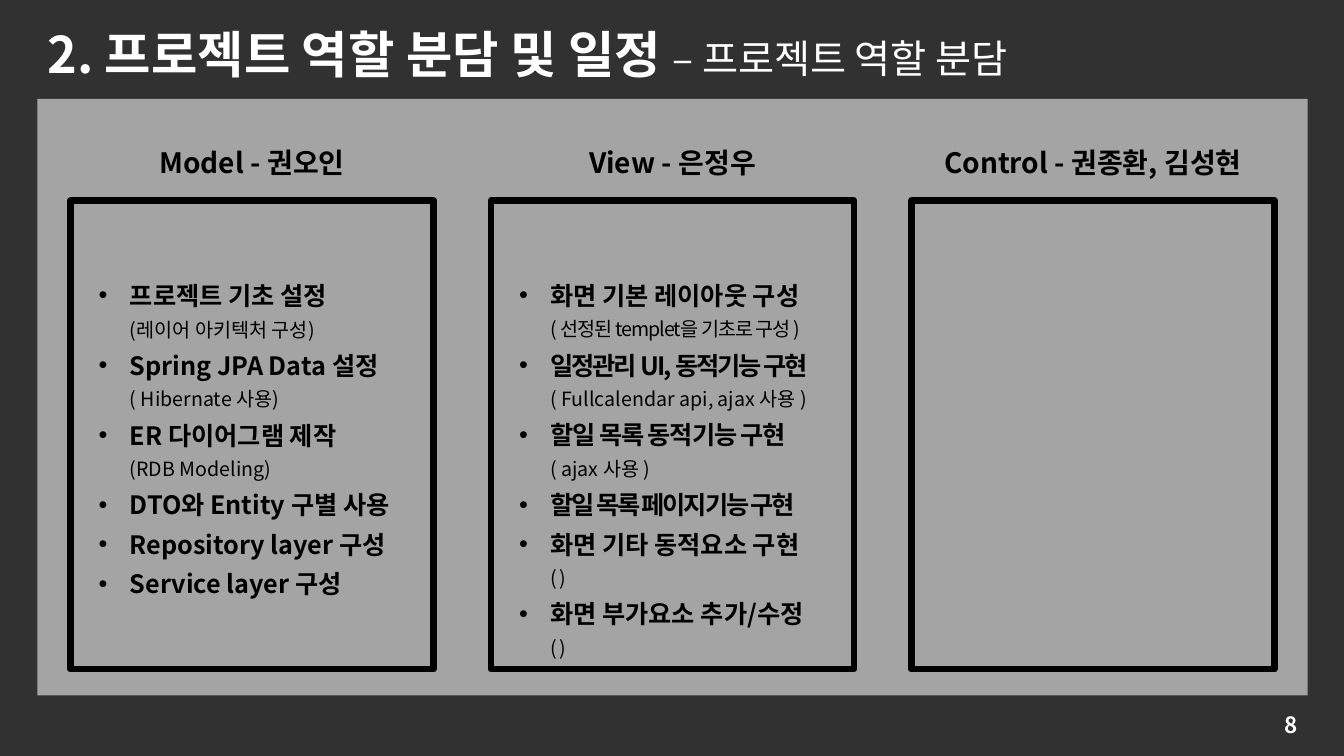
from dataclasses import dataclass

from lxml.etree import SubElement
from pptx import Presentation
from pptx.dml.color import RGBColor
from pptx.enum.shapes import MSO_SHAPE as Form
from pptx.enum.text import MSO_ANCHOR as Anchor, MSO_AUTO_SIZE as Auto, PP_ALIGN as Align
from pptx.oxml.ns import qn
from pptx.util import Inches, Pt

FONT = "Noto Sans CJK KR"
BLACK, WHITE = "000000", "FFFFFF"
PITCH, LEFT, WIDE = 4.17, 0.7, 3.6


@dataclass
class Task:
    name: str
    note: str = ""
    gap: float = 0
    note_gap: float = 0


@dataclass
class Role:
    head: str
    width: float
    height: float
    tasks: list[Task]


ROLES = [
    Role("Model - 권오인", 3.24, 3.35, [
        Task("프로젝트 기초 설정", "(레이어 아키텍처 구성)"),
        Task("Spring JPA Data 설정", "( Hibernate 사용)"),
        Task("ER 다이어그램 제작", "(RDB Modeling)"),
        Task("DTO와 Entity 구별 사용"),
        Task("Repository layer 구성"),
        Task("Service layer 구성"),
    ]),
    Role("View - 은정우", 2.87, 4, [
        Task("화면 기본 레이아웃 구성", "( 선정된 templet을 기초로 구성 )", 0, -0.8),
        Task("일정관리 UI, 동적기능 구현", "( Fullcalendar api, ajax 사용 )", -1.5),
        Task("할일 목록 동적기능 구현", "( ajax 사용 )", -0.8),
        Task("할일 목록 페이지기능 구현", "", -1.5),
        Task("화면 기타 동적요소 구현", "( )", 0, -0.8),
        Task("화면 부가요소 추가/수정", "( )", 0, -0.8),
    ]),
    Role("Control - 권종환, 김성현", 3.68, 0, []),
]


def paint(target, tint: str) -> None:
    target.rgb = RGBColor.from_string(tint)


def write(para, text: str, size: float, tint: str, bold: bool = True, gap: float = 0) -> None:
    run = para.add_run()
    run.text = text
    font = run.font
    font.size, font.bold, font.name = Pt(size), bold, FONT
    font.fill.solid()
    paint(font.color, tint)
    props = run._r.get_or_add_rPr()
    SubElement(props, qn("a:ea"), typeface=FONT)
    if gap:
        props.set("spc", str(round(gap * 100)))


def place(shape, x: float, y: float, w: float, h: float) -> None:
    shape.left, shape.top = Inches(x), Inches(y)
    shape.width, shape.height = Inches(w), Inches(h)


def block(slide, x: float, y: float, w: float, h: float):
    return slide.shapes.add_shape(Form.RECTANGLE, Inches(x), Inches(y), Inches(w), Inches(h))


def veil(slide, x: float, y: float, w: float, h: float, tint: str, alpha: int) -> None:
    shape = block(slide, x, y, w, h)
    shape.shadow.inherit = False
    shape.fill.solid()
    paint(shape.fill.fore_color, tint)
    shape.line.fill.background()
    color = shape._element.spPr.find(qn("a:solidFill"))[0]
    SubElement(color, qn("a:alpha"), val=str(alpha * 1000))


def frame(slide, x: float) -> None:
    shape = block(slide, x, 1.99, WIDE, 4.65)
    shape.shadow.inherit = False
    shape.fill.background()
    paint(shape.line.color, BLACK)
    shape.line.width = Pt(4.5)


def label(slide, x: float, y: float, w: float, h: float, grow: bool = True):
    box = slide.shapes.add_textbox(Inches(x), Inches(y), Inches(w), Inches(h)).text_frame
    box.word_wrap = True
    box.auto_size = Auto.SHAPE_TO_FIT_TEXT if grow else Auto.NONE
    return box


def bullet(para) -> None:
    props = para._p.get_or_add_pPr()
    indent = Inches(0.31)
    props.set("marL", str(indent))
    props.set("indent", str(-indent))
    SubElement(props, qn("a:buFont"), typeface="Arial")
    SubElement(props, qn("a:buChar"), char="•")
    para.line_spacing = 1.3


def column(slide, role: Role, x: float) -> None:
    mid = x + WIDE / 2
    head = label(slide, mid - role.width / 2, 1.39, role.width, 0.44).paragraphs[0]
    head.alignment = Align.CENTER
    write(head, role.head, 20, BLACK)
    if not role.tasks:
        return
    box = label(slide, x + 0.18, 2.64, 3.24, role.height)
    for i, task in enumerate(role.tasks):
        para = box.add_paragraph() if i else box.paragraphs[0]
        bullet(para)
        write(para, task.name, 18, BLACK, gap=task.gap)
        if task.note:
            para.add_line_break()
            write(para, task.note, 14, BLACK, False, task.note_gap)


def title(slide) -> None:
    shape = slide.shapes.title
    slide.shapes._spTree.append(shape._element)
    place(shape, 0.37, 0.18, 11.51, 0.71)
    box = shape.text_frame
    box.word_wrap, box.auto_size = True, Auto.SHAPE_TO_FIT_TEXT
    box.vertical_anchor = Anchor.TOP
    para = box.paragraphs[0]
    para.alignment = Align.LEFT
    write(para, "2. 프로젝트 역할 분담 및 일정 ", 36, WHITE)
    write(para, "– 프로젝트 역할 분담", 28, WHITE, False)


def number(slide) -> None:
    box = label(slide, 9.97, 6.99, 3, 0.4, False)
    box.vertical_anchor = Anchor.MIDDLE
    para = box.paragraphs[0]
    para.alignment = Align.RIGHT
    write(para, "8", 16, WHITE)


def main() -> None:
    deck = Presentation()
    deck.slide_width, deck.slide_height = Inches(13.33), Inches(7.5)
    slide = deck.slides.add_slide(deck.slide_layouts[5])
    veil(slide, 0, 0, 13.33, 7.5, "0D0D0D", 85)
    veil(slide, 0.37, 0.98, 12.6, 5.92, "F2F2F2", 60)
    title(slide)
    number(slide)
    for i, role in enumerate(ROLES):
        x = LEFT + i * PITCH
        frame(slide, x)
        column(slide, role, x)
    deck.save("out.pptx")


if __name__ == "__main__":
    main()
